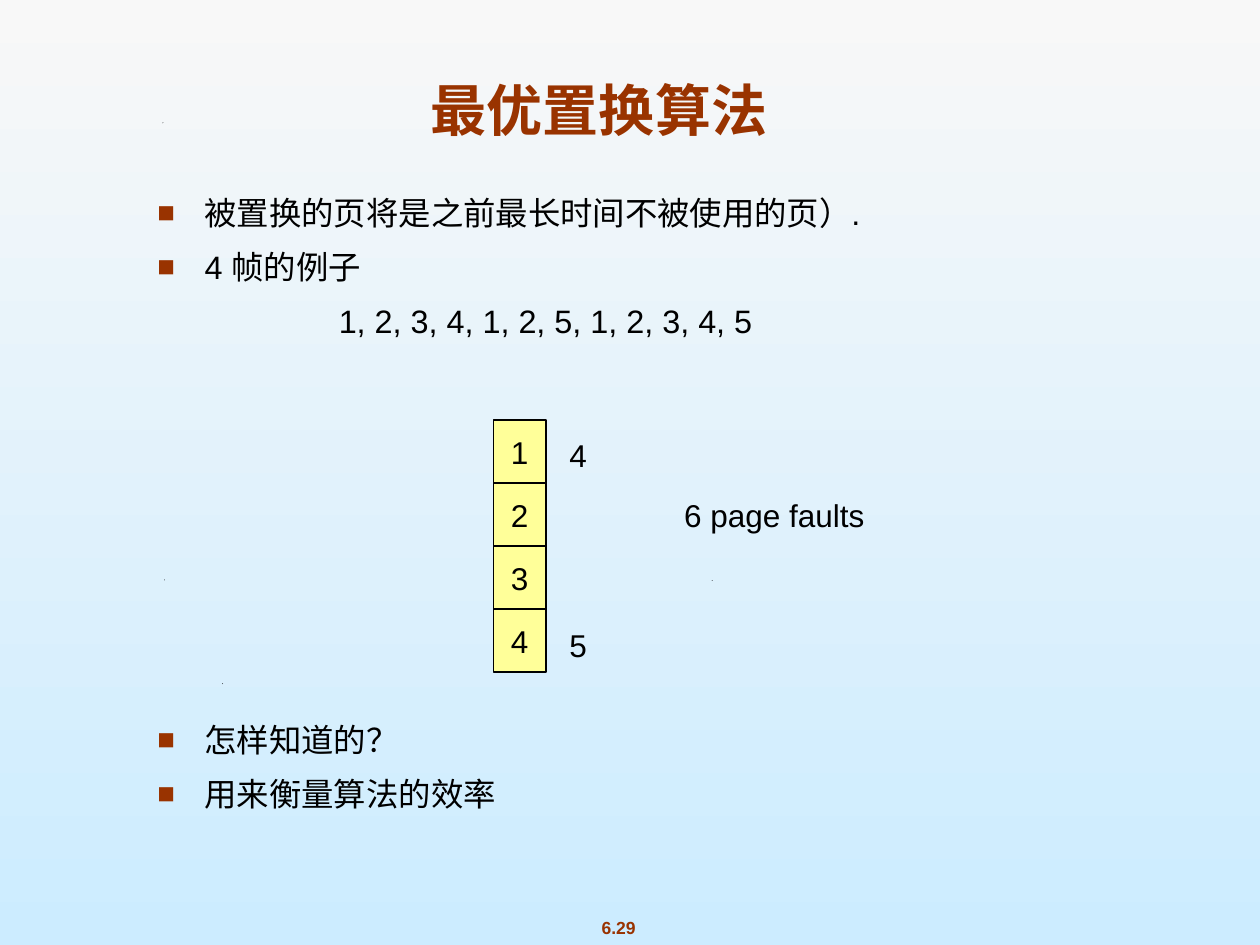
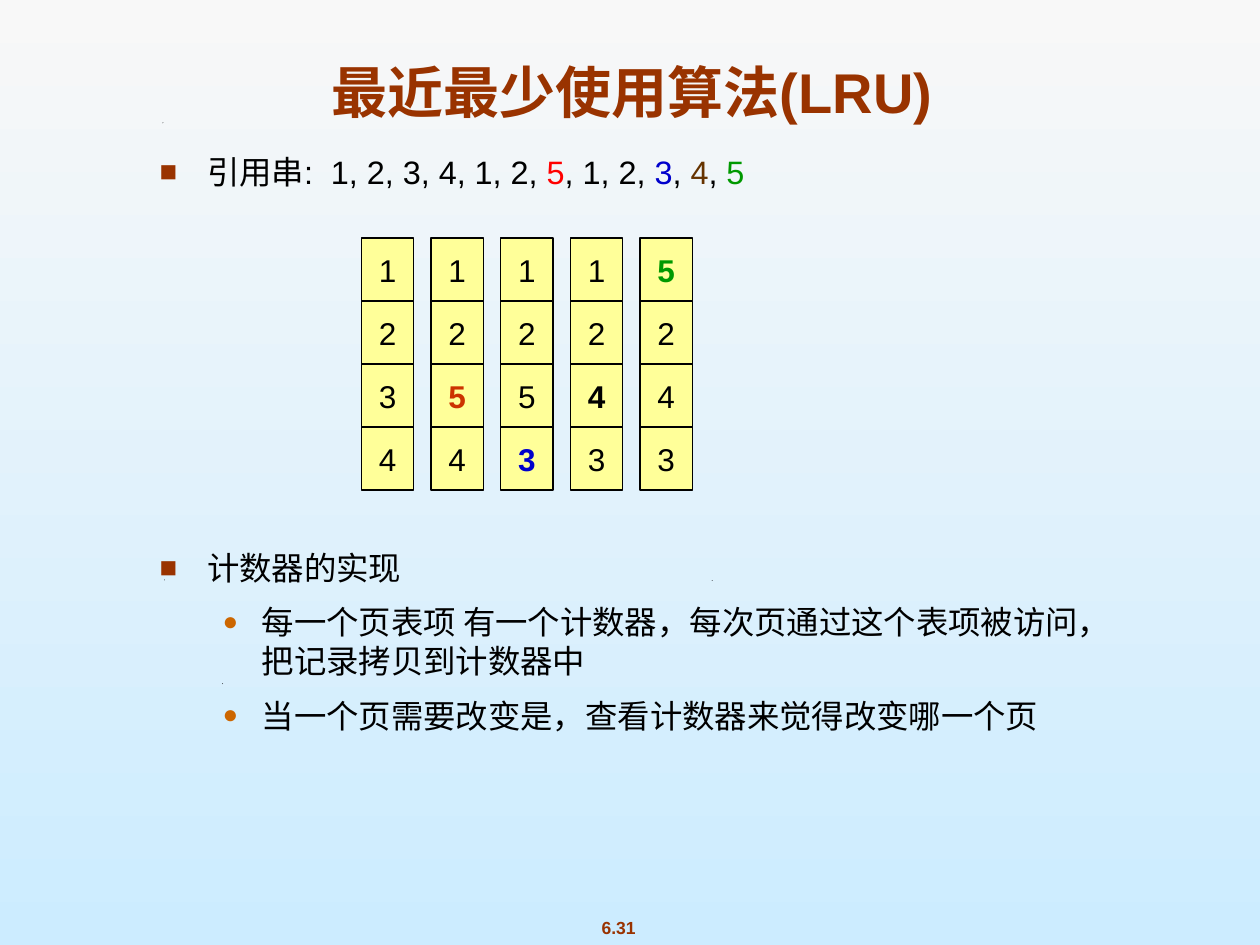
"""Build two slides on page replacement: the optimal algorithm and LRU."""
from dataclasses import dataclass

from lxml.etree import SubElement
from pptx import Presentation
from pptx.dml.color import RGBColor
from pptx.enum.shapes import MSO_SHAPE
from pptx.enum.text import MSO_ANCHOR, MSO_AUTO_SIZE, PP_ALIGN
from pptx.oxml.ns import qn
from pptx.util import Pt


@dataclass(frozen=True)
class Theme:
    font: str = "Arial"
    title_size: float = 32
    body_size: float = 18.5
    frame_size: float = 18
    footer_size: float = 10
    accent: str = "993300"
    sub_accent: str = "CC6600"
    ink: str = "000000"
    frame: str = "FFFF99"
    sky: tuple = ("F8F8F8", "CCECFF")
    red: str = "FF0000"
    brick: str = "CC3300"
    blue: str = "0000CC"
    brown: str = "663300"
    green: str = "009900"


THEME = Theme()
INK = THEME.ink

LEVELS = {
    "item": dict(margin=27, indent=-27, bullet=("■", THEME.accent, 90)),
    "detail": dict(margin=58.3, indent=-22.3, bullet=("●", THEME.sub_accent, 80)),
    "sequence": dict(margin=103.7, indent=0, bullet=None),
}
PARAGRAPH_GAP = 8.8
FRAME_WIDTH, FRAME_HEIGHT, COLUMN_PITCH = 30, 36, 39.8
FOOTER_BOX = (318.2, 520.6, 70.6, 19.4)
SPECKS = [(127, 390.5), (93.8, 331.2), (406.8, 331.5), (92.9, 70)]

SLIDES = [
    dict(
        title="最优置换算法",
        title_box=(77.8, 39.6, 529.2, 31),
        footer="6.29",
        body_box=(82.8, 106.6, 572.4, 380),
        body=[
            ("item", 0, [("被置换的页将是之前最长时间不被使用的页）.", INK)]),
            ("item", PARAGRAPH_GAP, [("4 帧的例子", INK)]),
            ("sequence", PARAGRAPH_GAP, [("1, 2, 3, 4, 1, 2, 5, 1, 2, 3, 4, 5", INK)]),
            ("item", 217, [("怎样知道的？", INK)]),
            ("item", PARAGRAPH_GAP, [("用来衡量算法的效率", INK)]),
        ],
        frames_at=(282, 240),
        columns=["1234"],
        changed={},
        labels=[
            ("4", (318.2, 245.5, 24.5, 28.8)),
            ("6 page faults", (383.8, 280.1, 117.4, 28.8)),
            ("5", (318.2, 354.2, 24.5, 28.8)),
        ],
    ),
    dict(
        title="最近最少使用算法(LRU)",
        title_box=(90, 29.5, 542.2, 36),
        footer="6.31",
        body_box=(84.2, 83.5, 553.7, 373.7),
        body=[
            ("item", 0, [
                ("引用串:", INK), (" ", INK, 5.1), ("1, 2, 3, 4, 1, 2, ", INK),
                ("5", THEME.red), (", 1, 2, ", INK), ("3", THEME.blue), (", ", INK),
                ("4", THEME.brown), (", ", INK), ("5", THEME.green),
            ]),
            ("item", 204, [("计数器的实现", INK)]),
            ("detail", PARAGRAPH_GAP, [
                ("每一个页表项 有一个计数器，每次页通过这个表项被访问，把记录拷贝到计数器中", INK),
            ]),
            ("detail", PARAGRAPH_GAP, [
                ("当一个页需要改变是，查看计数器来觉得改变哪一个页", INK),
            ]),
        ],
        frames_at=(206.5, 136),
        columns=["1234", "1254", "1253", "1243", "5243"],
        changed={(1, 2): THEME.brick, (2, 3): THEME.blue,
                 (3, 2): INK, (4, 0): THEME.green},
        labels=[],
    ),
]


def rgb(color):
    """Turn a hex string into a colour."""
    return RGBColor.from_string(color)


def points(box):
    """Turn a tuple of numbers into lengths."""
    return [Pt(value) for value in box]


def style(paragraph, size, color=INK, bold=False, align=None):
    """Format a whole paragraph."""
    paragraph.alignment = align
    font = paragraph.font
    font.name, font.size, font.bold = THEME.font, Pt(size), bold
    font.color.rgb = rgb(color)


def paint_background(presentation):
    """Give the master its vertical gradient."""
    fill = presentation.slide_master.background.fill
    fill.gradient()
    fill.gradient_angle = 270
    for stop, color, position in zip(fill.gradient_stops, THEME.sky, (0, 1)):
        stop.color.rgb = rgb(color)
        stop.position = position


def add_title(slide, text, box):
    """Move and format the title placeholder."""
    title = slide.shapes.title
    title.left, title.top, title.width, title.height = points(box)
    frame = title.text_frame
    frame.text = text
    frame.auto_size = MSO_AUTO_SIZE.NONE
    frame.vertical_anchor = MSO_ANCHOR.TOP
    style(frame.paragraphs[0], THEME.title_size, THEME.accent, True, PP_ALIGN.CENTER)


def add_label(slide, text, box, size, color=INK, bold=False, anchor=MSO_ANCHOR.MIDDLE):
    """Add one centred line of text."""
    frame = slide.shapes.add_textbox(*points(box)).text_frame
    frame.word_wrap = False
    frame.vertical_anchor = anchor
    frame.text = text
    style(frame.paragraphs[0], size, color, bold, PP_ALIGN.CENTER)


def set_indent(paragraph, margin, indent, bullet):
    """Set the hanging indent and the bullet of a paragraph."""
    properties = paragraph._p.get_or_add_pPr()
    properties.set("marL", str(Pt(margin)))
    properties.set("indent", str(Pt(indent)))
    if bullet is None:
        SubElement(properties, qn("a:buNone"))
        return
    character, color, percent = bullet
    bullet_color = SubElement(properties, qn("a:buClr"))
    SubElement(bullet_color, qn("a:srgbClr"), val=color)
    SubElement(properties, qn("a:buSzPct"), val=str(percent * 1000))
    SubElement(properties, qn("a:buFont"), typeface=THEME.font)
    SubElement(properties, qn("a:buChar"), char=character)


def add_body(slide, box, content):
    """Add the bulleted text."""
    frame = slide.shapes.add_textbox(*points(box)).text_frame
    frame.word_wrap = True
    for index, (level, gap, runs) in enumerate(content):
        paragraph = frame.add_paragraph() if index else frame.paragraphs[0]
        set_indent(paragraph, **LEVELS[level])
        paragraph.space_before = Pt(gap)
        style(paragraph, THEME.body_size)
        for text, color, *spacing in runs:
            run = paragraph.add_run()
            run.text = text
            if color != INK:
                run.font.color.rgb = rgb(color)
            for extra in spacing:
                run.font._element.set("spc", str(round(extra * 100)))


def add_frames(slide, origin, columns, changed):
    """Draw memory states as columns of page frames."""
    left, top = origin
    for column, pages in enumerate(columns):
        for row, page in enumerate(pages):
            box = (left + column * COLUMN_PITCH, top + row * FRAME_HEIGHT,
                   FRAME_WIDTH, FRAME_HEIGHT)
            shape = slide.shapes.add_shape(MSO_SHAPE.RECTANGLE, *points(box))
            shape.shadow.inherit = False
            shape.fill.solid()
            shape.fill.fore_color.rgb = rgb(THEME.frame)
            shape.line.color.rgb = rgb(INK)
            shape.line.width = Pt(0.75)
            shape.text_frame.word_wrap = False
            shape.text_frame.text = page
            style(shape.text_frame.paragraphs[0], THEME.frame_size,
                  changed.get((column, row), INK), (column, row) in changed,
                  PP_ALIGN.CENTER)


def add_specks(slide):
    """Draw the tiny triangular marks of the backdrop."""
    for x, y in SPECKS:
        builder = slide.shapes.build_freeform(Pt(x), Pt(y))
        builder.add_line_segments([points((x + 0.5, y)), points((x, y + 0.5))])
        speck = builder.convert_to_shape()
        speck.shadow.inherit = False
        speck.fill.solid()
        speck.fill.fore_color.rgb = rgb(INK)
        speck.line.fill.background()


def main():
    """Build and save the presentation."""
    presentation = Presentation()
    presentation.slide_width, presentation.slide_height = Pt(720), Pt(540)
    paint_background(presentation)
    for content in SLIDES:
        slide = presentation.slides.add_slide(presentation.slide_layouts[5])
        add_specks(slide)
        add_label(slide, content["footer"], FOOTER_BOX, THEME.footer_size,
                  THEME.accent, True, MSO_ANCHOR.TOP)
        add_title(slide, content["title"], content["title_box"])
        add_body(slide, content["body_box"], content["body"])
        add_frames(slide, content["frames_at"], content["columns"], content["changed"])
        for text, box in content["labels"]:
            add_label(slide, text, box, THEME.frame_size)
    presentation.save("out.pptx")


if __name__ == "__main__":
    main()
